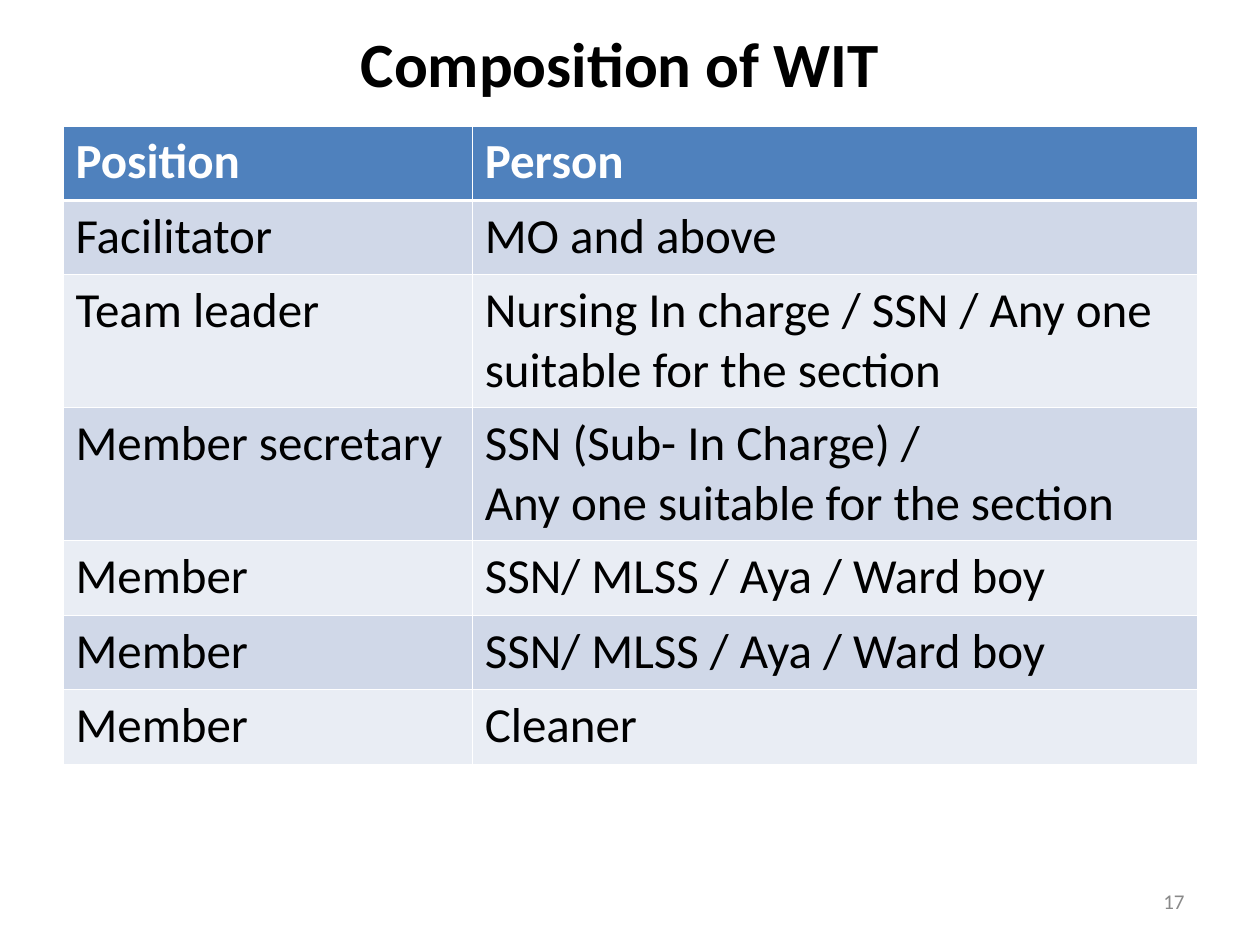
import pptx
import pptx.util
import pptx.dml.color
import pptx.enum.text
import pptx.oxml.ns
import lxml.etree

Cm, Pt = pptx.util.Cm, pptx.util.Pt
Align = pptx.enum.text.PP_ALIGN

HUES = {
    "black": "000000",
    "white": "FFFFFF",
    "grey": "898989",
    "head": "4F81BD",
    "dark": "D0D8E8",
    "light": "E9EDF4",
}
THIN, THICK = 0.45, 1.47


def rgb(hue):
    return pptx.dml.color.RGBColor.from_string(HUES[hue])


class Deck:
    """Holds the style and the current slide."""

    def __init__(self, font):
        self.font = font
        self.file = pptx.Presentation()
        self.file.slide_width, self.file.slide_height = Cm(25.4), Cm(19.05)
        self.slide = self.file.slides.add_slide(self.file.slide_layouts[6])

    def style(self, frame, size, hue, bold=False, align=Align.LEFT):
        for par in frame.paragraphs:
            par.alignment = align
            for run in par.runs:
                run.font.name, run.font.size = self.font, Pt(size)
                run.font.bold, run.font.color.rgb = bold, rgb(hue)

    def text(self, words, place, *look):
        box = self.slide.shapes.add_textbox(*map(Cm, place))
        frame = box.text_frame
        frame.word_wrap = True
        frame.vertical_anchor = pptx.enum.text.MSO_ANCHOR.MIDDLE
        frame.text = words
        self.style(frame, *look)

    def edge(self, cell, side, width):
        qn = pptx.oxml.ns.qn
        props = cell._tc.get_or_add_tcPr()
        line = lxml.etree.SubElement(props, qn("a:ln" + side), w=str(Pt(width)))
        fill = lxml.etree.SubElement(line, qn("a:solidFill"))
        lxml.etree.SubElement(fill, qn("a:srgbClr"), val=HUES["white"])

    def table(self, rows, left, top, widths, highs, size):
        grid = self.slide.shapes.add_table(
            len(rows), len(widths), Cm(left), Cm(top),
            Cm(sum(widths)), Cm(sum(highs))).table
        for col, width in zip(grid.columns, widths):
            col.width = Cm(width)
        for r, (row, high) in enumerate(zip(rows, highs)):
            grid.rows[r].height = Cm(high)
            # Header first, then alternating bands
            band = "head" if r == 0 else ("light", "dark")[r % 2]
            for c, words in enumerate(row):
                cell = grid.cell(r, c)
                cell.text_frame.text = words
                self.style(cell.text_frame, size,
                           "black" if r else "white", r == 0)
                # Borders go before the fill in the cell properties
                for side in "LRTB":
                    heavy = (r, side) in ((0, "B"), (1, "T"))
                    self.edge(cell, side, THICK if heavy else THIN)
                cell.fill.solid()
                cell.fill.fore_color.rgb = rgb(band)


def main():
    deck = Deck("Calibri")

    # Title
    deck.text("Composition of WIT", (1.07, 0.3, 22.86, 1.9),
              36, "black", True, Align.CENTER)

    # Slide number
    deck.text("17", (18.2, 17.66, 5.93, 1.01), 12, "grey", False, Align.RIGHT)

    # Team roles
    ward = "SSN/ MLSS / Aya / Ward boy"
    roles = [
        ("Position", "Person"),
        ("Facilitator", "MO and above"),
        ("Team leader",
         "Nursing In charge / SSN / Any one suitable for the section"),
        ("Member secretary",
         "SSN (Sub- In Charge) /\nAny one suitable for the section"),
        ("Member", ward),
        ("Member", ward),
        ("Member", "Cleaner"),
    ]
    one, two = 1.5, 2.68
    deck.table(roles, 1.27, 2.54, (8.25, 14.61),
               (one, one, two, two, one, one, one), 28)

    deck.file.save("out.pptx")


if __name__ == "__main__":
    main()
